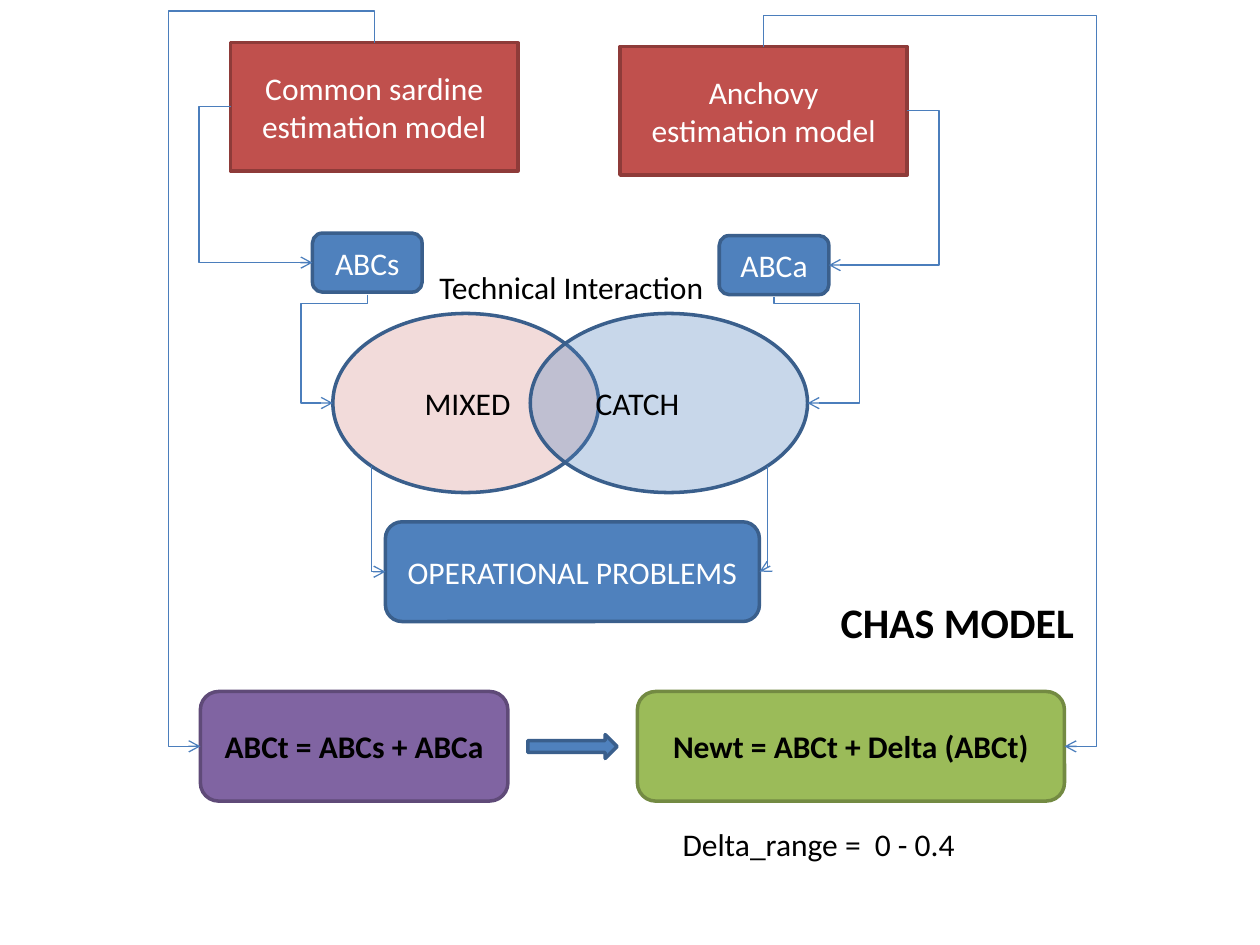
import pptx
import pptx.util
import pptx.dml.color
import pptx.enum.shapes
import pptx.enum.text
import pptx.oxml.ns
from lxml import etree

Cm, Pt = pptx.util.Cm, pptx.util.Pt
KIND = pptx.enum.shapes.MSO_SHAPE
ALIGN = pptx.enum.text.PP_ALIGN
ANCHOR = pptx.enum.text.MSO_ANCHOR
FIT = pptx.enum.text.MSO_AUTO_SIZE
qn = pptx.oxml.ns.qn

BLUE, NAVY, WIRE = "4F81BD", "3A5F8C", "4B7EBC"
WHITE, BLACK = "FFFFFF", "000000"
GAP = 0.64  # distance from a box to the rail beside it


def color(code):
    return pptx.dml.color.RGBColor.from_string(code)


def place(box):
    return [Cm(n) for n in box]


def side(box, sign):
    """Middle of the left (-1) or right (1) edge."""
    x, y, w, h = box
    return x + (w if sign > 0 else 0), y + h / 2


def write(frame, lines, size=18, ink=BLACK, bold=False, align=ALIGN.LEFT):
    for i, line in enumerate(lines):
        para = frame.paragraphs[0] if i == 0 else frame.add_paragraph()
        para.alignment = align
        run = para.add_run()
        run.text = line
        font = run.font
        font.name, font.size, font.bold = "Calibri", Pt(size), bold
        font.color.rgb = color(ink)


def block(slide, kind, box, fill, edge, lines=(), ink=WHITE, bold=False, alpha=None):
    shape = slide.shapes.add_shape(kind, *place(box))
    shape.shadow.inherit = False
    shape.fill.solid()
    shape.fill.fore_color.rgb = color(fill)
    if alpha:
        tint = shape._element.spPr.find(".//" + qn("a:srgbClr"))
        etree.SubElement(tint, qn("a:alpha")).set("val", str(alpha * 1000))
    shape.line.color.rgb = color(edge)
    shape.line.width = Pt(2)
    frame = shape.text_frame
    frame.word_wrap = True
    frame.vertical_anchor = ANCHOR.MIDDLE
    write(frame, lines, ink=ink, bold=bold, align=ALIGN.CENTER)


def label(slide, box, text, wrap=False):
    frame = slide.shapes.add_textbox(*place(box)).text_frame
    frame.word_wrap = wrap
    frame.auto_size = FIT.SHAPE_TO_FIT_TEXT
    write(frame, [text])
    return frame


def wire(slide, *pts):
    """Elbow arrow through the given corner points."""
    (x0, y0), (x1, y1) = pts[0], pts[-1]
    dx, dy = x1 - x0, y1 - y0
    mx, my = (x0 + x1) / 2, (y0 + y1) / 2
    down = pts[1][0] == x0  # a vertical start is a path turned by 90 degrees
    u, v = (dy, -dx) if down else (dx, dy)
    line = slide.shapes.add_connector(
        pptx.enum.shapes.MSO_CONNECTOR.ELBOW,
        *place((mx - u / 2, my - v / 2, mx + u / 2, my + v / 2)))
    line.line.color.rgb = color(WIRE)
    line.line.width = Pt(0.75)
    props = line._element.spPr
    if down:
        props.find(qn("a:xfrm")).set("rot", str(90 * 60000))
    geom = props.find(qn("a:prstGeom"))
    geom.set("prst", f"bentConnector{len(pts) - 1}")
    guides = geom.find(qn("a:avLst"))
    for i, (x, y) in enumerate(pts[1:-2]):
        part = (y - y0) / dy if down == (i % 2 == 0) else (x - x0) / dx
        guide = etree.SubElement(guides, qn("a:gd"))
        guide.set("name", f"adj{i + 1}")
        guide.set("fmla", f"val {round(part * 100000)}")
    etree.SubElement(props.find(qn("a:ln")), qn("a:tailEnd")).set("type", "arrow")
    etree.SubElement(props, qn("a:effectLst"))


def species(slide, box, tag, lines, name, sign):
    """Model box, its catch tag and the arrow between them."""
    block(slide, KIND.RECTANGLE, box, "C0504D", "8E3B39", lines)
    block(slide, KIND.ROUNDED_RECTANGLE, tag, BLUE, NAVY, [name])
    start, end = side(box, sign), side(tag, sign)
    rail = start[0] + sign * GAP
    wire(slide, start, (rail, start[1]), (rail, end[1]), end)


def mix(slide, box, tags):
    """Overlapping catches with the problems they lead to."""
    x, y, w, h = box
    left, right = (x, y, 5.36, h), (x + w - 5.59, y, 5.59, h)
    block(slide, KIND.OVAL, left, "E6B9B8", NAVY, alpha=51)
    block(slide, KIND.OVAL, right, BLUE, NAVY, alpha=31)
    label(slide, (x + 1.9, y - 1.04, 5.89, 1.02), "Technical Interaction")
    frame = label(slide, (x + 1.6, y + 1.3, 5.69, 1.02), "MIXED\tCATCH", True)
    tabs = etree.SubElement(frame.paragraphs[0]._p.get_or_add_pPr(), qn("a:tabLst"))
    stop = etree.SubElement(tabs, qn("a:tab"))
    stop.set("pos", str(Cm(3.45)))
    stop.set("algn", "l")

    ops = (x + 1.06, y + 4.2, 7.54, 2.01)
    block(slide, KIND.ROUNDED_RECTANGLE, ops, BLUE, NAVY, ["OPERATIONAL PROBLEMS"])
    for tag, sign, out, foot in zip(tags, (-1, 1), (GAP, 1.04), (x + 0.78, x + 8.76)):
        mid, base = tag[0] + tag[2] / 2, tag[1] + tag[3] + 0.05
        end = side(box, sign)
        rail = end[0] + sign * out
        wire(slide, (mid, base), (mid, y - 0.2), (rail, y - 0.2), (rail, end[1]), end)
        goal = side(ops, sign)
        wire(slide, (foot, y + 3.08), (foot, goal[1]), goal)


def total(slide, box, models):
    """Sum, new total and the long arrows from both models."""
    x, y, w, h = box
    old, new = (x, y, 6.2, h), (x + w - 8.61, y, 8.61, h)
    for part, fill, edge, text in (
            (old, "8064A2", "5F4A78", "ABCt = ABCs + ABCa"),
            (new, "9BBB59", "738A42", "Newt = ABCt + Delta (ABCt)")):
        block(slide, KIND.ROUNDED_RECTANGLE, part, fill, edge, [text], BLACK, True)
    block(slide, KIND.RIGHT_ARROW, (x + 6.6, y + 0.87, 1.8, 0.48), BLUE, NAVY)
    label(slide, (x + 9.47, y + 2.57, 6.07, 1.02), "Delta_range =  0 - 0.4")
    for model, sign in zip(models, (-1, 1)):
        mid, top = model[0] + model[2] / 2, model[1]
        end = side(box, sign)
        rail = end[0] + sign * GAP
        wire(slide, (mid, top), (mid, top - GAP), (rail, top - GAP), (rail, end[1]), end)


def title(slide, box, text):
    head = slide.shapes.title
    head.left, head.top, head.width, head.height = place(box)
    frame = head.text_frame
    frame.word_wrap = False
    frame.auto_size = FIT.SHAPE_TO_FIT_TEXT
    frame.vertical_anchor = ANCHOR.TOP
    write(frame, [text], 24, bold=True)


deck = pptx.Presentation()
deck.slide_width, deck.slide_height = Cm(25.4), Cm(19.05)
page = deck.slides.add_slide(deck.slide_layouts[5])

models = [(4.65, 0.86, 5.79, 2.59), (12.5, 0.94, 5.79, 2.59)]
tags = [(6.3, 4.7, 2.21, 1.19), (14.5, 4.75, 2.21, 1.19)]
species(page, models[0], tags[0], ["Common sardine estimation model"], "ABCs", -1)
species(page, models[1], tags[1], ["Anchovy", "estimation model"], "ABCa", 1)
mix(page, (6.71, 6.32, 9.57, 3.61), tags)
total(page, (4.04, 13.94, 17.42, 2.21), models)
title(page, (16.69, 11.89, 5.26, 1.27), "CHAS MODEL")
deck.save("out.pptx")
